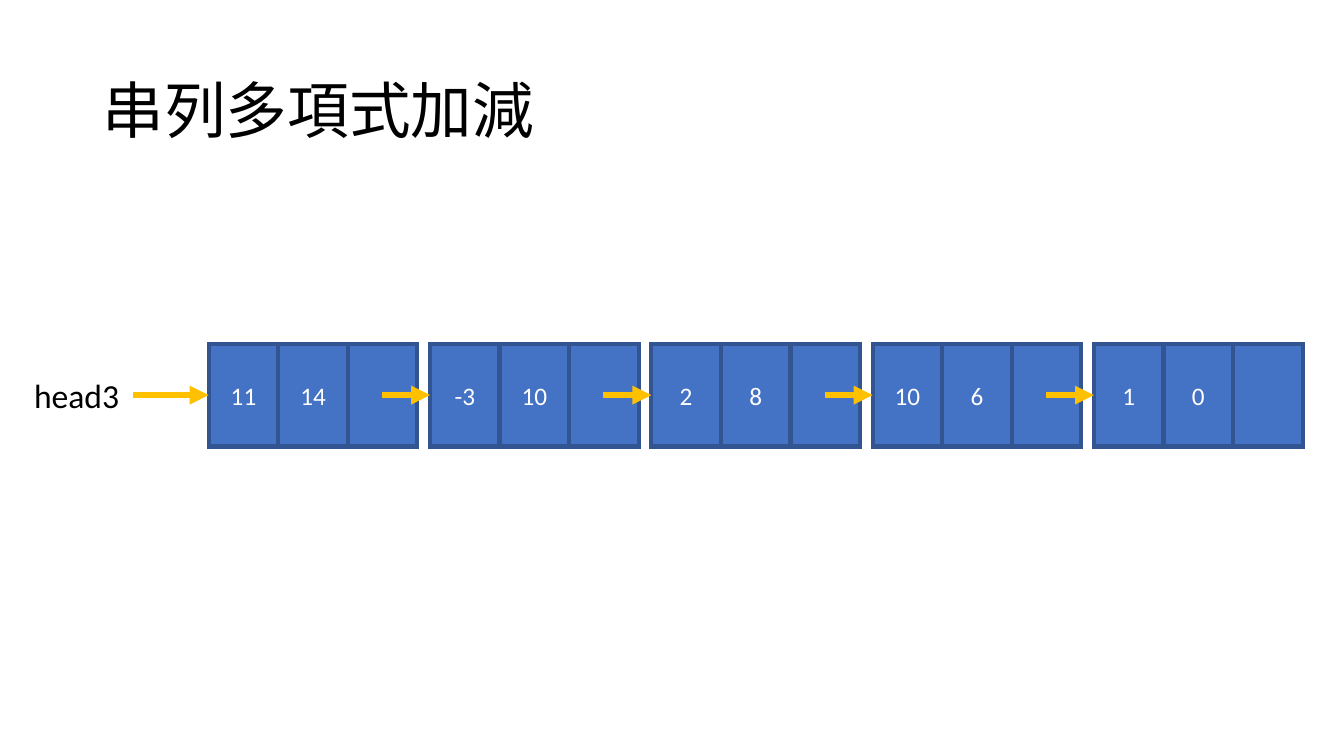
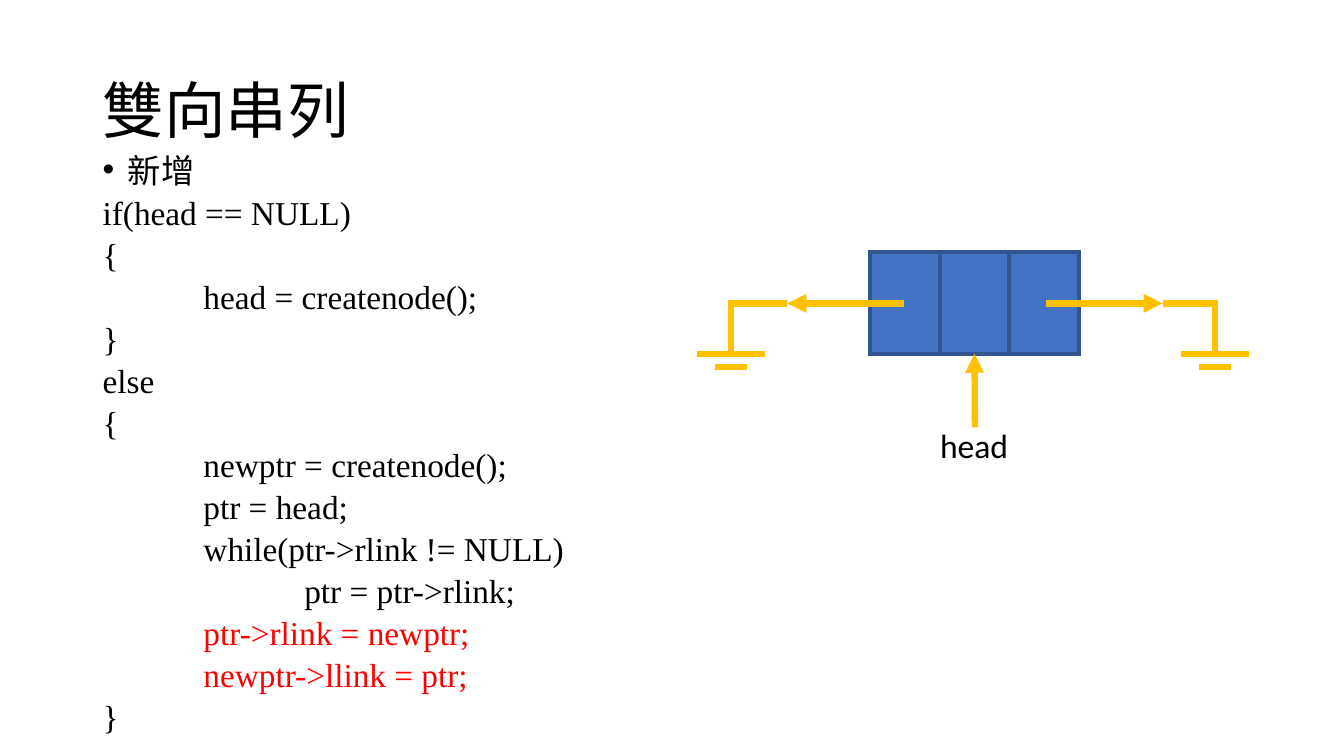
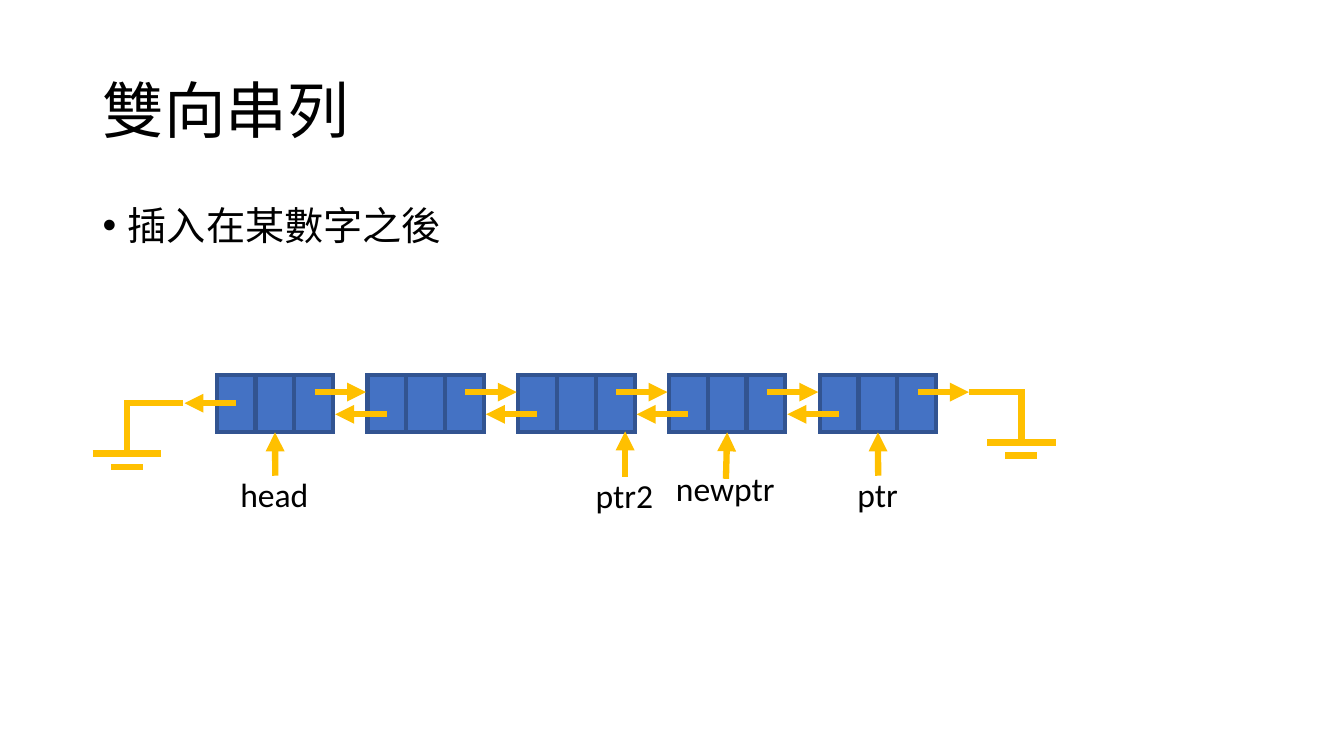
from lxml import etree
from pptx import Presentation
from pptx.dml.color import RGBColor
from pptx.enum import shapes, text
from pptx.oxml import ns
from pptx.util import Inches, Pt

BLACK = RGBColor(0x00, 0x00, 0x00)
WHITE = RGBColor(0xFF, 0xFF, 0xFF)
RED = RGBColor(0xFF, 0x00, 0x00)
BLUE = RGBColor(0x44, 0x72, 0xC4)
NAVY = RGBColor(0x32, 0x54, 0x91)
GOLD = RGBColor(0xFF, 0xC0, 0x00)
SERIF, SANS = "Times New Roman", "Calibri"
LEFT, BOTTOM = 1, 2  # connection sites of a rectangle

CODE = """if(head == NULL)
{
\thead = createnode();
}
else
{
\tnewptr = createnode();
\tptr = head;
\twhile(ptr->rlink != NULL)
\t\tptr = ptr->rlink;
\tptr->rlink = newptr;
\tnewptr->llink = ptr;
}""".split("\n")
RED_LINES = ("\tptr->rlink = newptr;", "\tnewptr->llink = ptr;")


class ListDeck:
    """Style of the deck and the slide being drawn."""

    def __init__(self):
        self.deck = Presentation()
        self.deck.slide_width, self.deck.slide_height = Inches(13.33), Inches(7.5)
        self.page = None

    def start_page(self, title):
        self.page = self.deck.slides.add_slide(self.deck.slide_layouts[6])
        frame = self.text_box(0.92, 0.4, 11.5, 1.45)
        frame.vertical_anchor = text.MSO_ANCHOR.MIDDLE
        frame.text = title
        frame.paragraphs[0].line_spacing = 0.9
        self.style(frame.paragraphs[0], 44, SERIF)

    def text_box(self, left, top, width, height):
        box = self.page.shapes.add_textbox(
            Inches(left), Inches(top), Inches(width), Inches(height))
        box.text_frame.word_wrap = True
        return box.text_frame

    def style(self, para, size, font, color=BLACK):
        for span in para.runs:
            span.font.size, span.font.name = Pt(size), font
            span.font.color.rgb = color

    def body(self, top, height, lines, size, spacing, gap=0):
        """Body text whose first line carries the bullet."""
        frame = self.text_box(0.92, top, 11.5, height)
        frame.text = "\n".join(lines)
        for i, para in enumerate(frame.paragraphs):
            props = para._p.get_or_add_pPr()
            if i == 0:
                props.set("marL", str(Inches(0.25)))
                props.set("indent", str(Inches(-0.25)))
                etree.SubElement(props, ns.qn("a:buFont"), typeface="Arial")
                etree.SubElement(props, ns.qn("a:buChar"), char="•")
            else:
                # Code is indented in steps of one inch
                stops = etree.SubElement(props, ns.qn("a:tabLst"))
                for stop in (1, 2):
                    etree.SubElement(stops, ns.qn("a:tab"), pos=str(Inches(stop)), algn="l")
                para.space_before = Pt(gap)
            para.line_spacing = spacing
            self.style(para, size, SERIF, RED if lines[i] in RED_LINES else BLACK)

    def label(self, name, left, top, width):
        frame = self.text_box(left, top, width, 0.5)
        frame.word_wrap = False
        frame.auto_size = text.MSO_AUTO_SIZE.SHAPE_TO_FIT_TEXT
        frame.text = name
        self.style(frame.paragraphs[0], 24, SANS)

    def outline(self, line, color, width):
        """Solid outline with sharp corners."""
        line.color.rgb, line.width = color, Pt(width)
        etree.SubElement(line._get_or_add_ln(), ns.qn("a:miter"), lim="800000")

    def node(self, left, top, width, height, values=("", "", "")):
        """Grouped row of three cells; returns the cells."""
        group = self.page.shapes.add_group_shape()
        cells = []
        for i, value in enumerate(values):
            cell = group.shapes.add_shape(
                shapes.MSO_SHAPE.RECTANGLE, Inches(left + i * width), Inches(top),
                Inches(width), Inches(height))
            cell.shadow.inherit = False
            cell.fill.solid()
            cell.fill.fore_color.rgb = BLUE
            self.outline(cell.line, NAVY, 3)
            if value:
                cell.text_frame.text = value
                cell.text_frame.vertical_anchor = text.MSO_ANCHOR.MIDDLE
                para = cell.text_frame.paragraphs[0]
                para.alignment = text.PP_ALIGN.CENTER
                self.style(para, 18, SANS, WHITE)
            cells.append(cell)
        return cells

    def line(self, x1, y1, x2, y2, kind=shapes.MSO_CONNECTOR.STRAIGHT):
        line = self.page.shapes.add_connector(
            kind, Inches(x1), Inches(y1), Inches(x2), Inches(y2))
        self.outline(line.line, GOLD, 4.5)
        etree.SubElement(line._element.spPr, ns.qn("a:effectLst"))
        return line

    def arrow(self, x1, y1, x2, y2, cell=None, side=LEFT):
        arrow = self.line(x1, y1, x2, y2)
        etree.SubElement(arrow.line._get_or_add_ln(), ns.qn("a:tailEnd"), type="triangle")
        if cell is not None:
            arrow.end_connect(cell, side)

    def pointer(self, name, x, tip, length, width, cell=None, overlap=0.07):
        """Upward arrow with its name centred below."""
        self.arrow(x, tip + length, x, tip, cell, BOTTOM)
        self.label(name, x - width / 2, tip + length - overlap, width)

    def ground(self, x, y, reach):
        """Elbow that drops to the two bars marking NULL."""
        end = x + reach
        elbow = self.line(x, y, end, y + 0.5, shapes.MSO_CONNECTOR.ELBOW)
        guides = elbow._element.spPr.find(ns.qn("a:prstGeom")).get_or_add_avLst()
        etree.SubElement(guides, ns.qn("a:gd"), name="adj1", fmla="val 100000")
        for half, drop in ((0.34, 0.5), (0.16, 0.63)):
            self.line(end - half, y + drop, end + half, y + drop)


def polynomial(show):
    show.start_page("串列多項式加減")
    terms = (("11", "14"), ("-3", "10"), ("2", "8"), ("10", "6"), ("1", "0"))
    lefts = [2.07 + 8.78 * i / 4 for i in range(len(terms))]
    nodes = [show.node(left, 3.41, 0.69, 1.02, (*term, ""))
             for left, term in zip(lefts, terms)]
    # Each arrow enters the first cell of its node
    starts = [1.32] + [left + 1.72 for left in lefts[:-1]]
    for start, left, cells in zip(starts, lefts, nodes):
        show.arrow(start, 3.92, left, 3.92, cells[0])
    show.label("head3", 0.24, 3.67, 1.06)


def append_node(show):
    show.start_page("雙向串列")
    show.body(1.55, 5.95, ["新增"] + CODE, 23.8, 0.7, 10)
    # Single node with NULL on both sides
    cells = show.node(8.63, 2.5, 0.69, 1.01)
    show.pointer("head", 9.67, 3.54, 0.7, 0.89, cells[1])
    show.arrow(10.37, 3.01, 11.53, 3.01)
    show.arrow(8.97, 3.01, 7.81, 3.01)
    show.ground(7.81, 3.01, -0.56)
    show.ground(11.53, 3.01, 0.52)


def insert_node(show):
    show.start_page("雙向串列")
    show.body(2, 4.76, ["插入在某數字之後"], 28, 0.9)
    lefts = [2.15 + 5.98 * i / 4 for i in range(5)]
    nodes = [show.node(left, 3.72, 0.385, 0.57) for left in lefts]
    # Links in both directions
    for i, left in enumerate(lefts):
        back = 4.11 if i else 4
        show.arrow(left + 0.97, 3.89, left + 1.48, 3.89)
        show.arrow(left + 0.19, back, left - 0.32, back)
    show.ground(1.82, 4, -0.56)
    show.ground(9.61, 3.89, 0.52)
    # Named pointers
    show.pointer("head", 2.73, 4.28, 0.44, 0.89, nodes[0][1])
    show.pointer("ptr2", 6.2, 4.28, 0.45, 0.78)
    show.pointer("newptr", 7.2, 4.3, 0.45, 1.19, nodes[3][1], overlap=0.16)
    show.pointer("ptr", 8.71, 4.28, 0.44, 0.61, nodes[4][1])


def main():
    show = ListDeck()
    polynomial(show)
    append_node(show)
    insert_node(show)
    show.deck.save("out.pptx")


if __name__ == "__main__":
    main()
